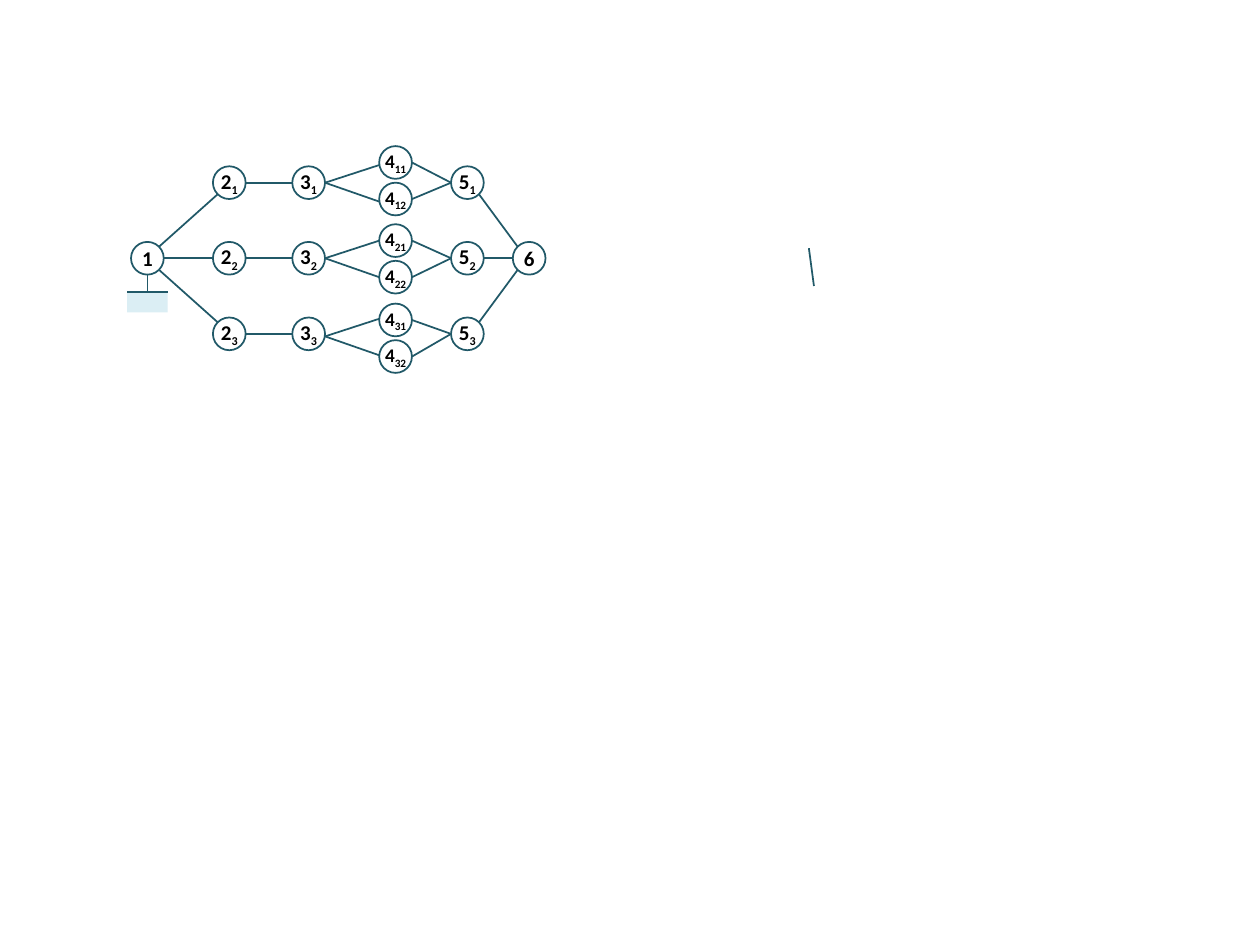
from dataclasses import dataclass

from lxml import etree
from pptx import Presentation
from pptx.dml.color import RGBColor
from pptx.enum.shapes import MSO_CONNECTOR, MSO_SHAPE
from pptx.enum.text import MSO_ANCHOR, PP_ALIGN
from pptx.oxml.ns import qn
from pptx.util import Inches, Pt

OVAL = MSO_SHAPE.OVAL
RECTANGLE = MSO_SHAPE.RECTANGLE
STRAIGHT = MSO_CONNECTOR.STRAIGHT
MIDDLE = MSO_ANCHOR.MIDDLE
CENTER = PP_ALIGN.CENTER

COLORS = {"line": "215968", "ground": "DBEEF4", "node": "FFFFFF", "text": "000000"}
FONT = "Calibri"
BLANK_LAYOUT = 6

RADIUS = 0.13
DIAGONAL = 0.09
COLUMNS = {"1": 1.17, "2": 1.82, "3": 2.45, "4": 3.14, "5": 3.71, "6": 4.2}
TOP_ROW = 1.45
ROW_STEP = 0.6
HUB_ROW = TOP_ROW + ROW_STEP
GROUND_TOP = 2.32
GROUND_LEFT, GROUND_WIDTH, GROUND_HEIGHT = 1.01, 0.32, 0.16

Point = tuple[float, float]


@dataclass(frozen=True)
class Branch:
    number: int
    leaf_rows: tuple[float, float]
    fork_drop: float = 0
    entry_drop: float = 0

    @property
    def row(self) -> float:
        return TOP_ROW + (self.number - 1) * ROW_STEP


BRANCHES = (
    Branch(1, (1.29, 1.58), entry_drop=0.02),
    Branch(2, (1.91, 2.2)),
    Branch(3, (2.54, 2.83), fork_drop=0.02, entry_drop=-0.01),
)


def color(name: str) -> RGBColor:
    return RGBColor.from_string(COLORS[name])


def add_run(paragraph, text: str, *, size: float, subscript: bool = False) -> None:
    run = paragraph.add_run()
    run.text = text
    run.font.name = FONT
    run.font.size = Pt(size)
    run.font.bold = True
    run.font.color.rgb = color("text")
    if subscript:
        run.font._element.set("baseline", "-25000")


def add_line(slide, start: Point, end: Point) -> None:
    connector = slide.shapes.add_connector(
        STRAIGHT, *(Inches(value) for value in start + end)
    )
    connector.line.color.rgb = color("line")
    connector.line.width = Pt(1)
    etree.SubElement(connector._element.spPr, qn("a:effectLst"))


def add_node(slide, label: str, row: float, subscript: str = "", size: float = 12) -> None:
    shape = slide.shapes.add_shape(
        OVAL,
        Inches(COLUMNS[label] - RADIUS),
        Inches(row - RADIUS),
        Inches(2 * RADIUS),
        Inches(2 * RADIUS),
    )
    shape.shadow.inherit = False
    shape.fill.solid()
    shape.fill.fore_color.rgb = color("node")
    shape.line.color.rgb = color("line")
    shape.line.width = Pt(1)
    frame = shape.text_frame
    frame.margin_left = frame.margin_right = frame.margin_top = frame.margin_bottom = 0
    frame.vertical_anchor = MIDDLE
    paragraph = frame.paragraphs[0]
    paragraph.alignment = CENTER
    add_run(paragraph, label, size=size)
    if subscript:
        add_run(paragraph, subscript, size=size, subscript=True)


def left_of(label: str, row: float) -> Point:
    return COLUMNS[label] - RADIUS, row


def right_of(label: str, row: float) -> Point:
    return COLUMNS[label] + RADIUS, row


def add_hub_line(slide, hub: str, label: str, row: float) -> None:
    side = 1 if COLUMNS[label] > COLUMNS[hub] else -1
    direction = (row > HUB_ROW) - (row < HUB_ROW)
    reach = DIAGONAL if direction else RADIUS
    add_line(
        slide,
        (COLUMNS[hub] + side * reach, HUB_ROW + direction * DIAGONAL),
        (COLUMNS[label] - side * reach, row - direction * DIAGONAL),
    )


def add_ground(slide) -> None:
    ground = slide.shapes.add_shape(
        RECTANGLE,
        Inches(GROUND_LEFT),
        Inches(GROUND_TOP),
        Inches(GROUND_WIDTH),
        Inches(GROUND_HEIGHT),
    )
    ground.shadow.inherit = False
    ground.fill.solid()
    ground.fill.fore_color.rgb = color("ground")
    ground.line.fill.background()
    add_line(slide, (COLUMNS["1"], HUB_ROW + RADIUS), (COLUMNS["1"], GROUND_TOP))
    add_line(slide, (GROUND_LEFT + GROUND_WIDTH, GROUND_TOP), (GROUND_LEFT, GROUND_TOP))


def add_branch(slide, branch: Branch) -> None:
    row = branch.row
    add_hub_line(slide, "1", "2", row)
    add_hub_line(slide, "6", "5", row)
    add_line(slide, right_of("2", row), left_of("3", row))
    for position, leaf_row in enumerate(branch.leaf_rows, start=1):
        entry = left_of("4", leaf_row + branch.entry_drop)
        add_line(slide, entry, right_of("3", row + branch.fork_drop))
        add_line(slide, left_of("5", row), right_of("4", leaf_row))
        add_node(slide, "4", leaf_row, f"{branch.number}{position}", size=11)
    for label in ("2", "3", "5"):
        add_node(slide, label, row, str(branch.number))


def main() -> None:
    presentation = Presentation()
    presentation.slide_width = Inches(10)
    presentation.slide_height = Inches(7.5)
    slide = presentation.slides.add_slide(presentation.slide_layouts[BLANK_LAYOUT])
    add_ground(slide)
    add_line(slide, (6.46, 2.27), (6.42, 1.97))
    for branch in BRANCHES:
        add_branch(slide, branch)
    for hub in ("1", "6"):
        add_node(slide, hub, HUB_ROW)
    presentation.save("out.pptx")


main()
